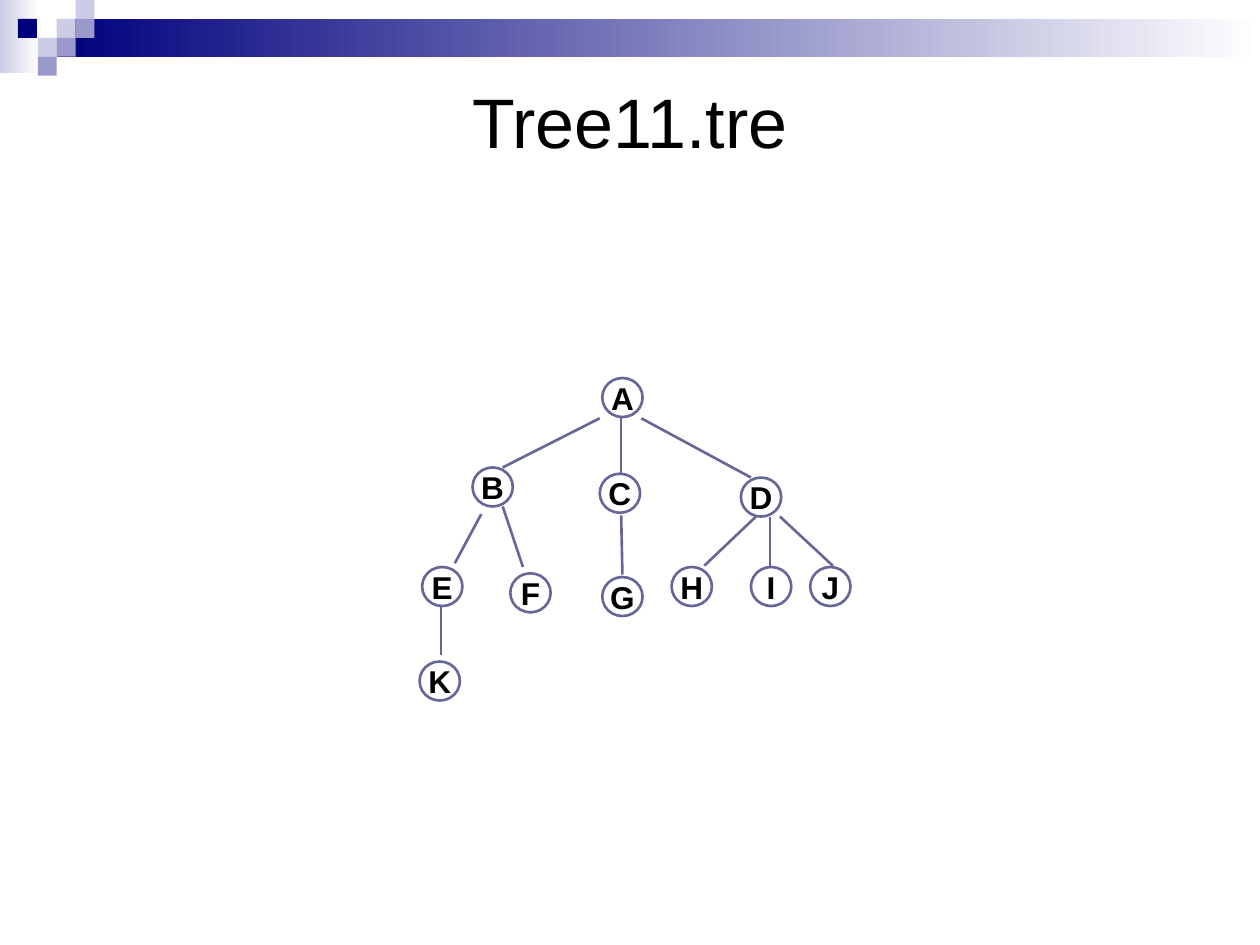
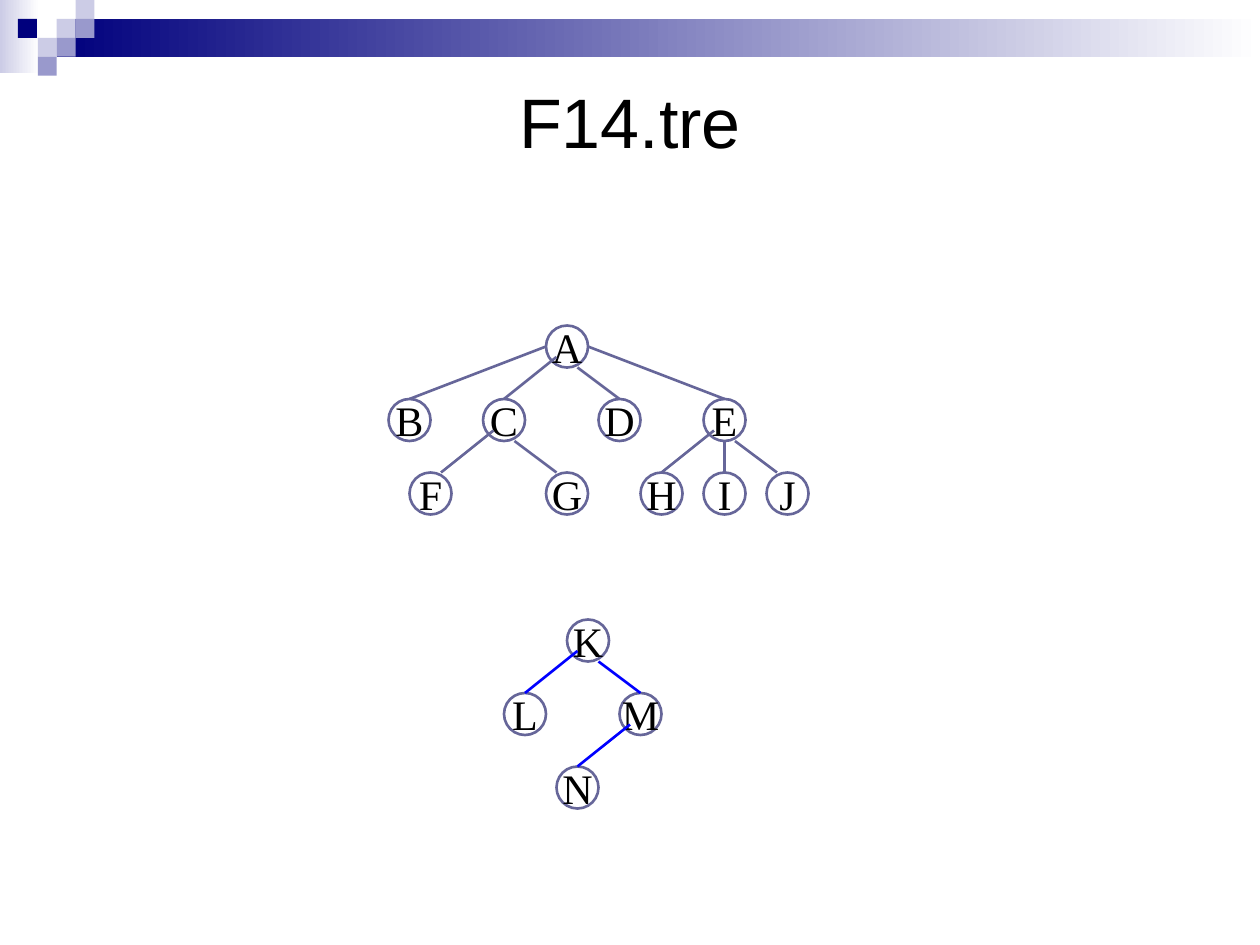
from lxml import etree
from pptx import Presentation
from pptx.dml.color import RGBColor
from pptx.enum.shapes import MSO_CONNECTOR, MSO_SHAPE
from pptx.enum.text import MSO_ANCHOR, PP_ALIGN
from pptx.oxml.ns import qn
from pptx.util import Inches, Pt

rgb = RGBColor.from_string
NAVY, MID, PALE, WHITE = "00007D", "9999CC", "CCCCE6", "FFFFFF"
BLACK, SLATE, BLUE = "000000", "666699", "0000FF"
LINE_WIDTH = Pt(1.5)
CELL = 0.15  # side of one mosaic square

# left, top, width, height in cells, start colour of the fade to white
BANDS = [(0, 0, 2.07, 3.87, PALE), (3, 1, 63.67, 2, NAVY)]
# column, row, colour
MOSAIC = [(3, 1, PALE), (4, 0, PALE), (4, 1, MID), (2, 2, PALE),
          (0.95, 1, NAVY), (3, 2, MID), (2, 3, MID)]

# Node places are left, top; edges are x1, y1, x2, y2, all in units per inch.
TREES = [
    dict(title="Tree11.tre", per_inch=100, size=(32, 31), edges_on_top=False,
         font=("Arial", 18, True),
         nodes=dict(A=(478, 300), B=(375, 371), C=(476, 376), D=(588, 379),
                    E=(335, 450), F=(405, 455), G=(478, 458), H=(533, 450),
                    I=(596, 450), J=(643, 450), K=(333, 525)),
         edges={SLATE: [(476, 332, 399, 371), (509, 332, 596, 379),
                        (493, 332, 493, 387), (493, 409, 494, 456),
                        (350, 481, 350, 520), (611, 410, 611, 449),
                        (399, 402, 415, 450), (382, 408, 361, 447),
                        (619, 410, 661, 449), (600, 410, 559, 449)]}),
    dict(title="F14.tre", per_inch=12, size=(4, 4), edges_on_top=True,
         font=("Times New Roman", 24, False),
         nodes=dict(A=(52, 31), B=(37, 38), C=(46, 38), D=(57, 38), E=(67, 38),
                    F=(39, 45), G=(52, 45), H=(61, 45), I=(67, 45), J=(73, 45),
                    K=(54, 59), L=(48, 66), M=(59, 66), N=(53, 73)),
         edges={SLATE: [(52, 33, 39, 38), (56, 33, 69, 38), (53, 34, 48, 38),
                        (55, 35, 59, 38), (47, 41, 42, 45), (49, 42, 53, 45),
                        (68, 41, 63, 45), (70, 42, 74, 45), (69, 42, 69, 45)],
                BLUE: [(55, 62, 50, 66), (57, 63, 61, 66), (60, 69, 55, 73)]}),
]


def add_box(s, kind, box, color, fade=False):
    """Add a filled preset shape; box is left, top, width, height in inches."""
    sp = s.shapes.add_shape(kind, *[Inches(v) for v in box])
    sp.shadow.inherit = False
    sp.line.fill.background()
    if fade:
        sp.fill.gradient()
        sp.fill.gradient_angle = 0
        for stop, c in zip(sp.fill.gradient_stops, (color, WHITE)):
            stop.color.rgb = rgb(c)
    else:
        sp.fill.solid()
        sp.fill.fore_color.rgb = rgb(color)
    return sp


def add_centred_text(sp, text, font, size, bold, wrap):
    tf = sp.text_frame
    tf.word_wrap = wrap
    tf.vertical_anchor = MSO_ANCHOR.MIDDLE
    p = tf.paragraphs[0]
    p.alignment = PP_ALIGN.CENTER
    r = p.add_run()
    r.text = text
    r.font.name, r.font.size, r.font.bold = font, Pt(size), bold
    r.font.color.rgb = rgb(BLACK)


prs = Presentation()
prs.slide_width, prs.slide_height = Inches(10), Inches(7.5)

for tree in TREES:
    s = prs.slides.add_slide(prs.slide_layouts[6])

    for *box, color in BANDS:
        add_box(s, MSO_SHAPE.RECTANGLE, [v * CELL for v in box], color, fade=True)
    for col, row, color in MOSAIC:
        add_box(s, MSO_SHAPE.RECTANGLE, (col * CELL, row * CELL, CELL, CELL), color)

    title = s.shapes.add_textbox(Inches(0.5), Inches(0.5), Inches(9), Inches(0.92))
    add_centred_text(title, tree["title"], "Arial", 40, False, True)

    unit = 1 / tree["per_inch"]
    # Two passes: the tree says whether its edges go under or over the nodes
    for drawing_edges in (not tree["edges_on_top"], tree["edges_on_top"]):
        if drawing_edges:
            for color, edges in tree["edges"].items():
                for ends in edges:
                    edge = s.shapes.add_connector(
                        MSO_CONNECTOR.STRAIGHT, *[Inches(v * unit) for v in ends])
                    edge.line.color.rgb = rgb(color)
                    edge.line.width = LINE_WIDTH
                    etree.SubElement(edge._element.spPr, qn("a:effectLst"))
        else:
            for letter, place in tree["nodes"].items():
                box = [v * unit for v in place + tree["size"]]
                node = add_box(s, MSO_SHAPE.OVAL, box, WHITE)
                node.line.color.rgb = rgb(SLATE)
                node.line.width = LINE_WIDTH
                add_centred_text(node, letter, *tree["font"], False)

prs.save("out.pptx")
